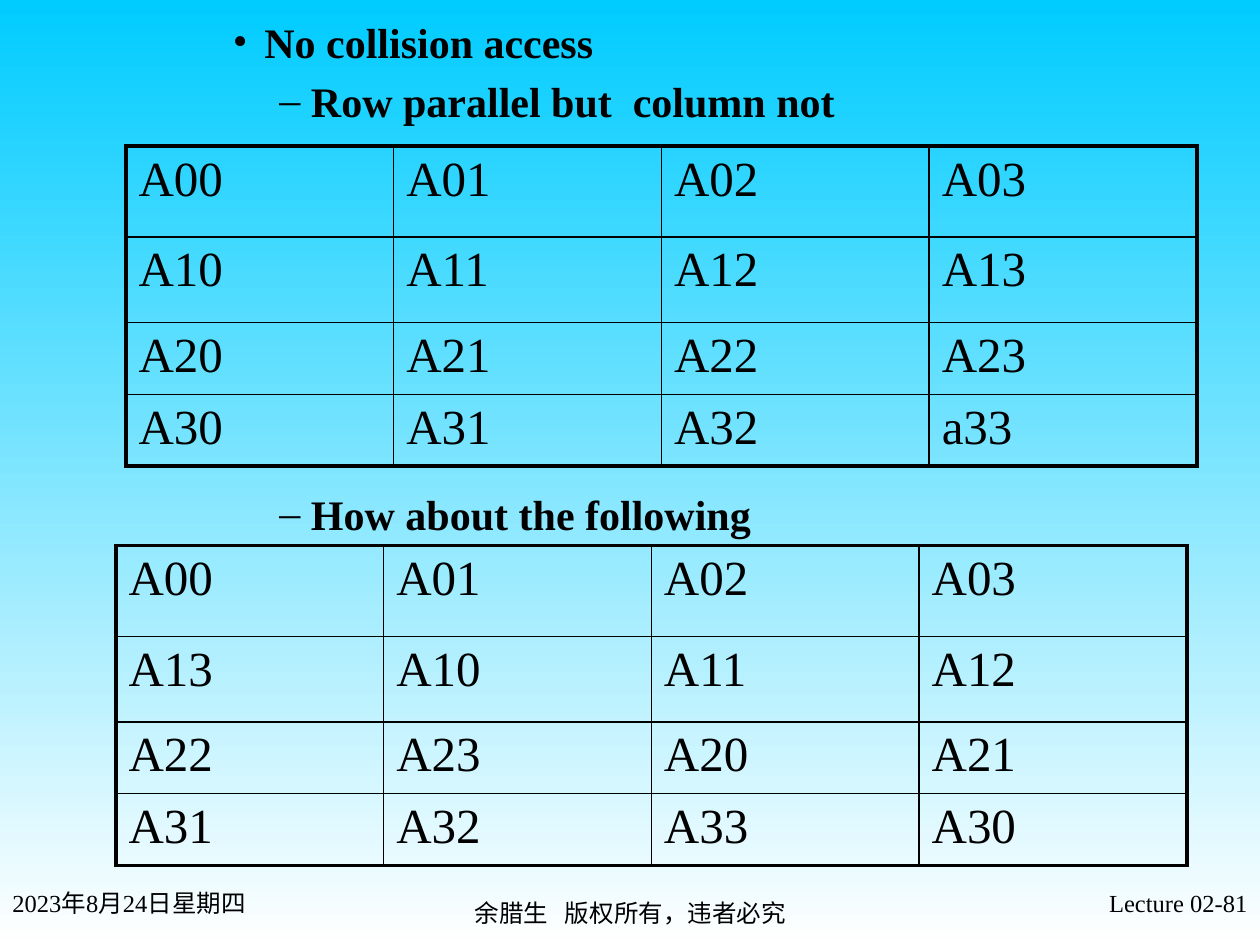
from lxml.etree import SubElement
from pptx import Presentation
from pptx.dml.color import RGBColor
from pptx.enum.text import PP_ALIGN
from pptx.oxml import parse_xml
from pptx.oxml.ns import nsdecls, qn
from pptx.util import Inches, Pt

BLACK = "000000"
FONT = "Times New Roman"


def style_font(font, size, bold=False):
    font.name = FONT
    font.size = Pt(size)
    font.bold = bold
    font.color.rgb = RGBColor.from_string(BLACK)


def set_borders(cell, widths):
    """Draw the left, right, top and bottom borders, with widths in points."""
    properties = cell._tc.get_or_add_tcPr()
    for index, (side, width) in enumerate(zip("LRTB", widths)):
        properties.insert(index, parse_xml(
            f'<a:ln{side} {nsdecls("a")} w="{Pt(width)}"><a:solidFill>'
            f'<a:srgbClr val="{BLACK}"/></a:solidFill></a:ln{side}>'))


presentation = Presentation()
presentation.slide_width = Inches(10)
presentation.slide_height = Inches(7.5)
slide = presentation.slides.add_slide(presentation.slide_layouts[6])

background = slide.background.fill
background.gradient()
background.gradient_angle = 270
for stop, color, position in zip(background.gradient_stops, ("00CCFF", "FFFFFF"), (0, 1)):
    stop.color.rgb = RGBColor.from_string(color)
    stop.position = position

# Outline: text, bullet, left margin, space before
outline = [
    ("No collision access", "•", 1.5, 0),
    ("Row parallel but  column not", "–", 1.87, 5),
    ("How about the following", "–", 1.87, 207),
]
body = slide.shapes.add_textbox(Inches(0.5), Inches(0.08), Inches(9.5), Inches(6.33))
body.text_frame.word_wrap = True
body.text_frame.text = "\n".join(text for text, *_ in outline)
for paragraph, (_, bullet, margin, space) in zip(body.text_frame.paragraphs, outline):
    properties = paragraph._p.get_or_add_pPr()
    properties.set("marL", str(Inches(margin)))
    properties.set("indent", str(Inches(-0.25)))
    SubElement(properties, qn("a:buFont")).set("typeface", FONT)
    SubElement(properties, qn("a:buChar")).set("char", bullet)
    paragraph.space_before = Pt(space)
    style_font(paragraph.font, 24, bold=True)
    style_font(paragraph.runs[0].font, 24, bold=True)

# Memory layouts: left, top, rows of elements
layouts = [
    (1, 1.16, ["A00 A01 A02 A03", "A10 A11 A12 A13", "A20 A21 A22 A23", "A30 A31 A32 a33"]),
    (0.92, 4.33, ["A00 A01 A02 A03", "A13 A10 A11 A12", "A22 A23 A20 A21", "A31 A32 A33 A30"]),
]
row_heights = [0.72, 0.68, 0.57, 0.57]
inner, outer = 1, 2.25
for left, top, rows in layouts:
    table = slide.shapes.add_table(
        4, 4, Inches(left), Inches(top), Inches(8.5), Inches(sum(row_heights))).table
    table.first_row = False
    table.horz_banding = False
    for row, (height, elements) in enumerate(zip(row_heights, rows)):
        table.rows[row].height = Inches(height)
        for column, element in enumerate(elements.split()):
            cell = table.cell(row, column)
            cell.text_frame.text = element
            style_font(cell.text_frame.paragraphs[0].runs[0].font, 28)
            cell.fill.background()
            on_edge = (column == 0, column == 3, row == 0, row == 3)
            set_borders(cell, [outer if edge else inner for edge in on_edge])

footers = [
    ("2023年8月24日星期四", 0, 7, 2.08, PP_ALIGN.LEFT),
    ("余腊生   版权所有，违者必究", 3.42, 7.08, 3.17, PP_ALIGN.CENTER),
    ("Lecture 02-81", 7.92, 7, 2.08, PP_ALIGN.RIGHT),
]
for text, left, top, width, alignment in footers:
    footer = slide.shapes.add_textbox(Inches(left), Inches(top), Inches(width), Inches(0.5))
    footer.text_frame.word_wrap = True
    footer.text_frame.text = text
    paragraph = footer.text_frame.paragraphs[0]
    paragraph.alignment = alignment
    style_font(paragraph.runs[0].font, 14)

presentation.save("out.pptx")
